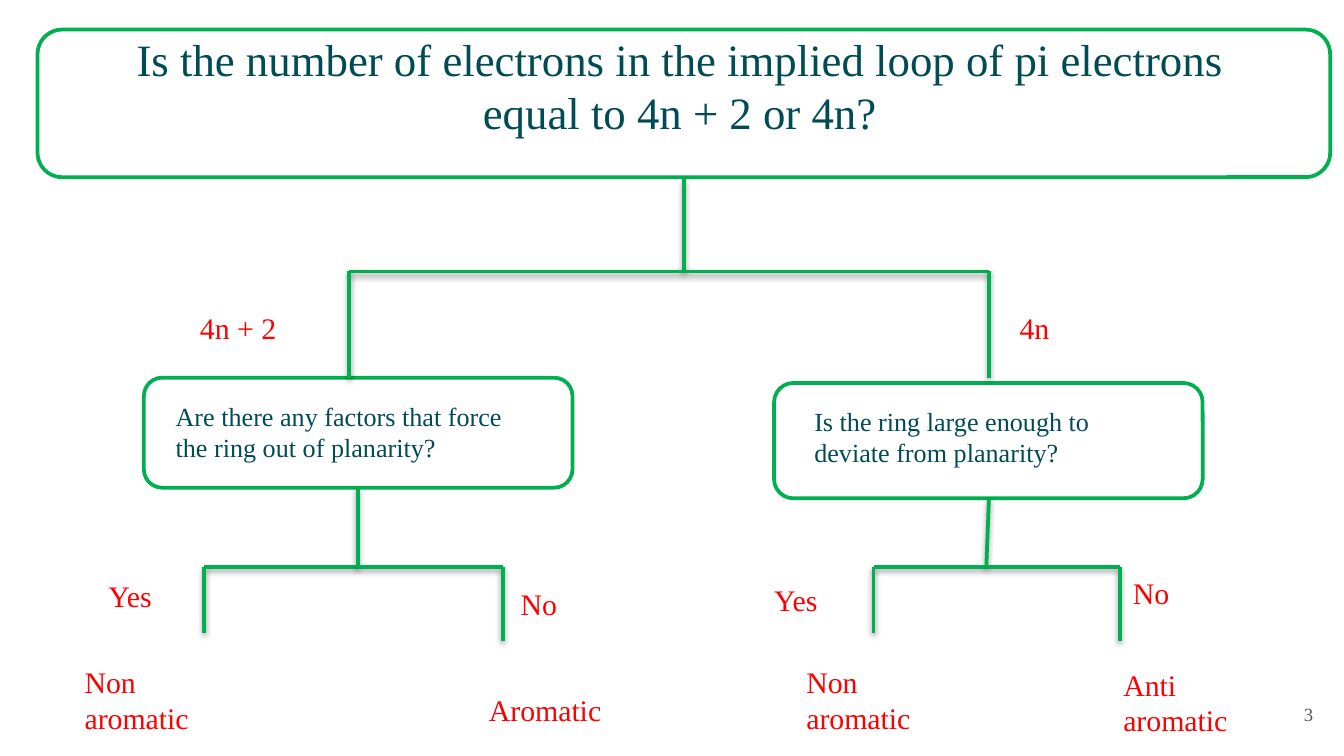
"""Builds a decision-tree slide on aromaticity."""
from dataclasses import dataclass
from itertools import pairwise

from lxml import etree
from pptx import Presentation
from pptx.dml.color import RGBColor
from pptx.enum.shapes import MSO_CONNECTOR, MSO_SHAPE
from pptx.enum.text import MSO_ANCHOR, PP_ALIGN
from pptx.oxml import parse_xml
from pptx.oxml.ns import nsdecls
from pptx.util import Cm, Pt

ROUNDED = MSO_SHAPE.ROUNDED_RECTANGLE
STRAIGHT = MSO_CONNECTOR.STRAIGHT
TOP, MIDDLE = MSO_ANCHOR.TOP, MSO_ANCHOR.MIDDLE
LEFT, CENTER, RIGHT = PP_ALIGN.LEFT, PP_ALIGN.CENTER, PP_ALIGN.RIGHT

FONT = "Times New Roman"
GREEN, TEAL, RED, GREY = "00B050", "004C54", "FF0000", "595959"
SHADOW = (
    f'<a:effectLst {nsdecls("a")}>'
    '<a:outerShdw blurRad="40000" dist="20000" dir="5400000" rotWithShape="0">'
    '<a:srgbClr val="000000"><a:alpha val="38000"/></a:srgbClr>'
    "</a:outerShdw></a:effectLst>"
)


@dataclass
class Box:
    left: float
    top: float
    width: float
    height: float


@dataclass
class Label:
    text: str
    left: float
    top: float
    width: float = 3.07
    height: float = 0.94
    size: float = 16
    color: str = RED
    align: PP_ALIGN = LEFT
    anchor: MSO_ANCHOR = TOP
    bottom_inset: float = 0.13


@dataclass
class Branch:
    stem_x: float
    stem_top: float
    foot_x: float
    bar_y: float
    bar_xs: tuple[float, ...]
    left_end: float
    right_end: float


BOXES = [
    Box(0.71, 0.56, 24.43, 2.79),
    Box(2.72, 7.14, 8.1, 2.08),
    Box(14.63, 7.24, 8.1, 2.18),
]
BRANCHES = [
    Branch(12.93, 3.38, 12.93, 5.13, (6.6, 18.69), 7.14, 7.14),
    Branch(6.76, 9.22, 6.76, 10.72, (3.86, 6.76, 9.5), 11.96, 12.12),
    Branch(18.69, 9.42, 18.64, 10.72, (16.51, 18.69, 21.16), 11.96, 12.12),
]
LABELS = [
    Label("Is the number of electrons in the implied loop of pi electrons "
          "equal to 4n + 2 or 4n?", 1.35, 1.24, 22.99, 1.85, 24, TEAL,
          CENTER, MIDDLE, 1.24),
    Label("3", 23.55, 12.95, 1.52, 1.09, 10, GREY, RIGHT, MIDDLE),
    Label("4n + 2", 3.53, 5.72),
    Label("4n", 19.02, 5.72, 1.73),
    Label("Are there any factors that force the ring out of planarity?",
          3.07, 7.44, 7.09, 1.45, 14, TEAL),
    Label("Is the ring large enough to deviate from planarity?",
          15.14, 7.54, 7.09, 1.45, 14, TEAL),
    Label("Yes", 1.8, 10.8),
    Label(" No", 9.45, 10.95),
    Label("Yes", 14.38, 10.87),
    Label("No", 21.16, 10.74),
    Label("Non aromatic", 1.35, 12.42, height=1.63),
    Label("Aromatic", 8.99, 12.95),
    Label("Non aromatic", 14.99, 12.42, height=1.63),
    Label("Anti\naromatic", 20.98, 12.47, height=1.63),
]


def rgb(value: str) -> RGBColor:
    return RGBColor.from_string(value)


def draw_box(shapes, box: Box) -> None:
    s = shapes.add_shape(ROUNDED, Cm(box.left), Cm(box.top),
                         Cm(box.width), Cm(box.height))
    s.shadow.inherit = False
    s.fill.background()
    s.line.color.rgb = rgb(GREEN)
    s.line.width = Pt(2)


def draw_line(shapes, x1: float, y1: float, x2: float, y2: float) -> None:
    s = shapes.add_connector(STRAIGHT, Cm(x1), Cm(y1), Cm(x2), Cm(y2))
    s.line.color.rgb = rgb(GREEN)
    s.line.width = Pt(2)
    etree.ElementBase.append(s._element.spPr, parse_xml(SHADOW))


def draw_branch(shapes, b: Branch) -> None:
    draw_line(shapes, b.stem_x, b.stem_top, b.foot_x, b.bar_y)
    for x1, x2 in pairwise(b.bar_xs):
        draw_line(shapes, x1, b.bar_y, x2, b.bar_y)
    for x, end in ((b.bar_xs[0], b.left_end), (b.bar_xs[-1], b.right_end)):
        draw_line(shapes, x, b.bar_y, x, end)


def draw_label(shapes, label: Label) -> None:
    s = shapes.add_textbox(Cm(label.left), Cm(label.top),
                           Cm(label.width), Cm(label.height))
    tf = s.text_frame
    tf.word_wrap = True
    tf.vertical_anchor = label.anchor
    tf.margin_bottom = Cm(label.bottom_inset)
    tf.text = label.text
    for p in tf.paragraphs:
        p.alignment = label.align
        for r in p.runs:
            r.font.name = FONT
            r.font.size = Pt(label.size)
            r.font.color.rgb = rgb(label.color)


def main() -> None:
    prs = Presentation()
    prs.slide_width, prs.slide_height = Cm(25.4), Cm(14.29)
    shapes = prs.slides.add_slide(prs.slide_layouts[6]).shapes
    for box in BOXES:
        draw_box(shapes, box)
    for branch in BRANCHES:
        draw_branch(shapes, branch)
    for label in LABELS:
        draw_label(shapes, label)
    prs.save("out.pptx")


if __name__ == "__main__":
    main()
